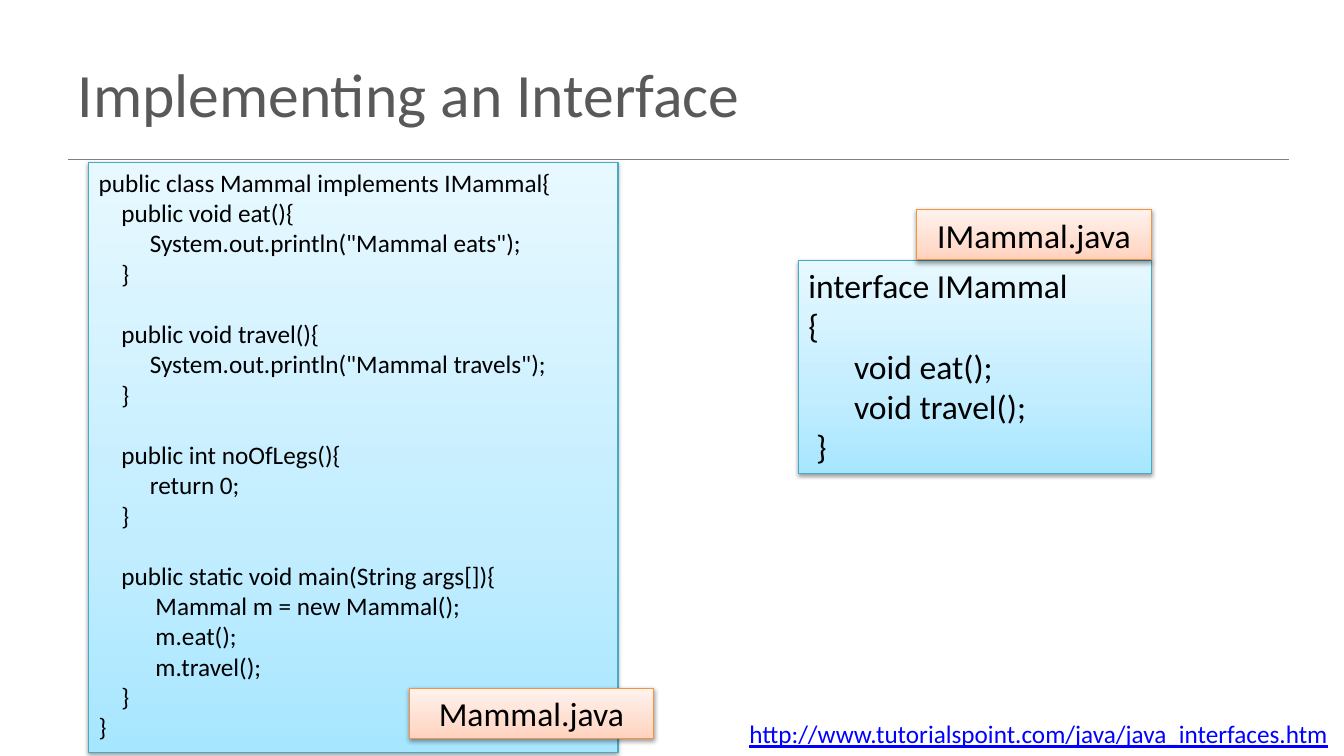
import copy
from dataclasses import dataclass

import pptx
import pptx.dml.color
import pptx.enum.dml
import pptx.enum.shapes
import pptx.enum.text
import pptx.oxml
import pptx.oxml.ns
import pptx.util
from lxml import etree
from pptx.util import Inches

FONT = "Calibri"
COLORS = {
    "title": "595959",
    "rule": "808080",
    "text": "000000",
    "link": "0000FF",
    "code_line": "46AAC5",
    "label_line": "F69240",
}
GRADIENTS = {
    "code": ("A7E6FF", "C1EDFF", "E7F8FF"),
    "label": ("FFD2BD", "FFDED0", "FFF2ED"),
}
STOPS = (0, 0.35, 1)
ALIGN = pptx.enum.text.PP_ALIGN
SHADOW = (
    f'<a:outerShdw {pptx.oxml.ns.nsdecls("a")} blurRad="40000" dist="20000" '
    'dir="5400000" rotWithShape="0"><a:srgbClr val="000000">'
    '<a:alpha val="38000"/></a:srgbClr></a:outerShdw>'
)

MAMMAL_CODE = """public class Mammal implements IMammal{
    public void eat(){
         System.out.println("Mammal eats");
    }

    public void travel(){
         System.out.println("Mammal travels");
    }

    public int noOfLegs(){
         return 0;
    }

    public static void main(String args[]){
          Mammal m = new Mammal();
          m.eat();
          m.travel();
    }
}"""

INTERFACE_CODE = """interface IMammal
{
      void eat();
      void travel();
 }"""


@dataclass
class Panel:
    kind: str
    text: str
    left: float
    top: float
    width: float
    height: float
    size: int


PANELS = [
    Panel("code", MAMMAL_CODE, 0.88, 1.61, 5.25, 5.86, 18),
    Panel("label", "Mammal.java", 4.06, 6.83, 2.42, 0.5, 24),
    Panel("code", INTERFACE_CODE, 7.92, 2.58, 3.5, 2.12, 24),
    Panel("label", "IMammal.java", 9.09, 2.08, 2.33, 0.5, 24),
]


def rgb(name: str) -> pptx.dml.color.RGBColor:
    return pptx.dml.color.RGBColor.from_string(COLORS[name])


def write(tf, text: str, size: int, color: str, align) -> None:
    tf.text = text
    tf.word_wrap = True
    for p in tf.paragraphs:
        p.alignment = align
        for r in p.runs:
            r.font.name = FONT
            r.font.size = pptx.util.Pt(size)
            r.font.color.rgb = rgb(color)


def fill_gradient(sp, colors: tuple[str, ...]) -> None:
    sp.fill.gradient()
    sp.fill.gradient_angle = 90
    stop_list = sp._element.spPr.find(".//" + pptx.oxml.ns.qn("a:gsLst"))
    stop_list.append(copy.deepcopy(stop_list[-1]))
    for stop, position, color in zip(sp.fill.gradient_stops, STOPS, colors):
        stop.position = position
        stop.color.rgb = pptx.dml.color.RGBColor.from_string(color)


def add_panel(s, panel: Panel) -> None:
    sp = s.shapes.add_shape(
        pptx.enum.shapes.MSO_SHAPE.RECTANGLE,
        Inches(panel.left), Inches(panel.top),
        Inches(panel.width), Inches(panel.height),
    )
    fill_gradient(sp, GRADIENTS[panel.kind])
    sp.line.color.rgb = rgb(panel.kind + "_line")
    sp.line.width = pptx.util.Pt(0.75)
    sp.shadow.inherit = False
    effects = sp._element.spPr.find(pptx.oxml.ns.qn("a:effectLst"))
    effects.append(pptx.oxml.parse_xml(SHADOW))
    tf = sp.text_frame
    align = ALIGN.CENTER if panel.kind == "label" else ALIGN.LEFT
    write(tf, panel.text, panel.size, "text", align)
    tf.vertical_anchor = pptx.enum.text.MSO_ANCHOR.TOP
    tf.auto_size = pptx.enum.text.MSO_AUTO_SIZE.SHAPE_TO_FIT_TEXT


def add_title(s) -> None:
    sp = s.shapes.title
    sp.left, sp.top = Inches(0.67), Inches(0.3)
    sp.width, sp.height = Inches(12), Inches(1.25)
    write(sp.text_frame, "Implementing an Interface", 44, "title", ALIGN.LEFT)
    sp.text_frame.vertical_anchor = pptx.enum.text.MSO_ANCHOR.MIDDLE


def add_rule(s) -> None:
    rule = s.shapes.add_connector(
        pptx.enum.shapes.MSO_CONNECTOR.STRAIGHT,
        Inches(0.67), Inches(1.58), Inches(12.78), Inches(1.58),
    )
    rule.line.color.rgb = rgb("rule")
    rule.line.width = pptx.util.Pt(1)
    etree.SubElement(rule._element.spPr, pptx.oxml.ns.qn("a:effectLst"))


def add_source(s) -> None:
    sp = s.shapes.add_textbox(Inches(7), Inches(7.08), Inches(6.33), Inches(0.4))
    tf = sp.text_frame
    url = "http://www.tutorialspoint.com/java/java_interfaces.htm"
    write(tf, url, 18, "link", ALIGN.RIGHT)
    tf.margin_right = Inches(0.16)
    tf.paragraphs[0].runs[0].font.underline = True


def main() -> None:
    prs = pptx.Presentation()
    prs.slide_width, prs.slide_height = Inches(13.33), Inches(7.5)
    s = prs.slides.add_slide(prs.slide_layouts[5])
    add_rule(s)
    add_title(s)
    for panel in PANELS:
        add_panel(s, panel)
    add_source(s)
    prs.save("out.pptx")


if __name__ == "__main__":
    main()
